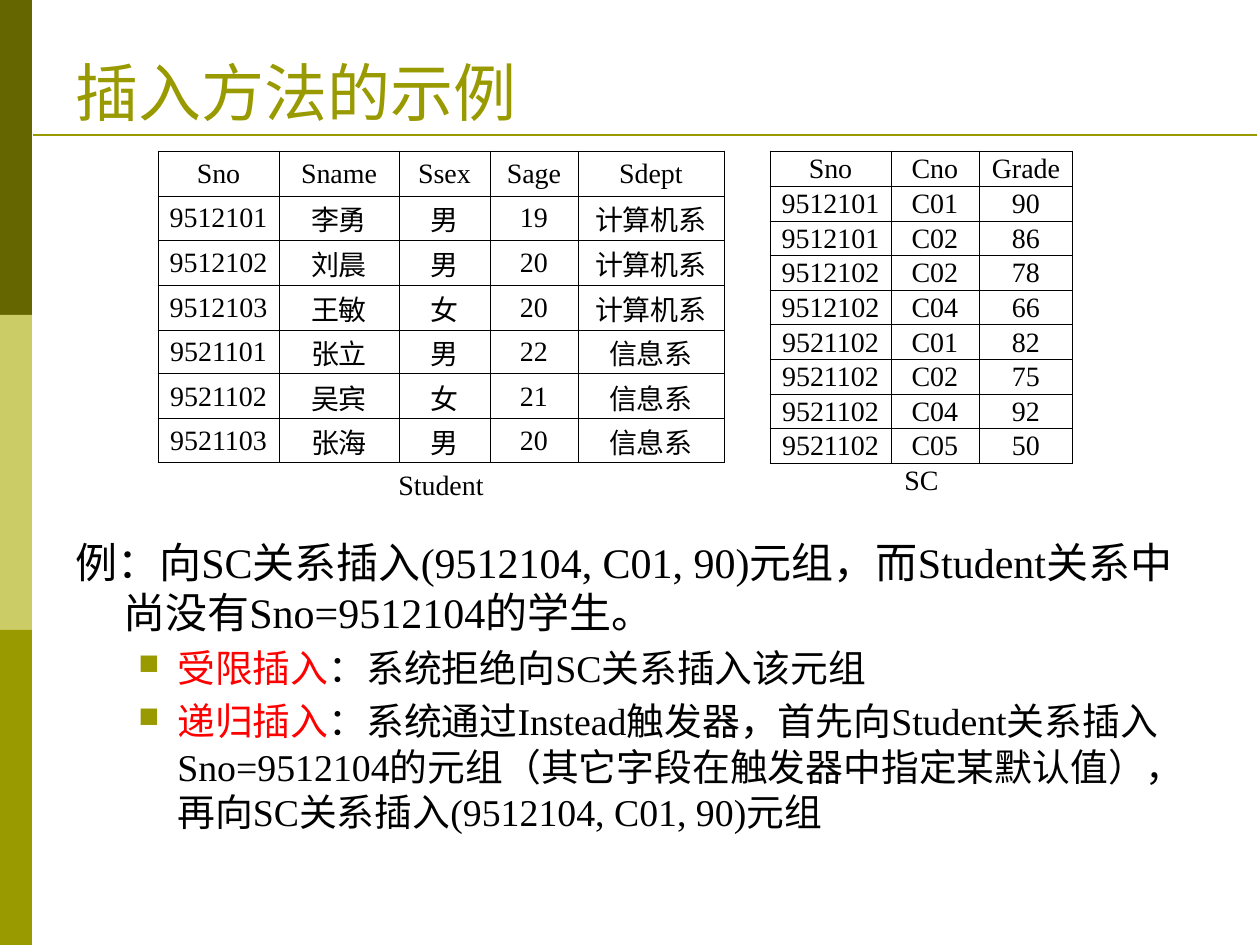
import pptx
import pptx.dml.color
import pptx.enum.shapes
import pptx.enum.text
import pptx.oxml
import pptx.oxml.ns
import pptx.util

ANCHOR = pptx.enum.text.MSO_ANCHOR
ALIGN = pptx.enum.text.PP_ALIGN
OLIVE, BLACK, RED = "999900", "000000", "FF0000"

STUDENTS = [
    ("Sno", "Sname", "Ssex", "Sage", "Sdept"),
    ("9512101", "李勇", "男", "19", "计算机系"),
    ("9512102", "刘晨", "男", "20", "计算机系"),
    ("9512103", "王敏", "女", "20", "计算机系"),
    ("9521101", "张立", "男", "22", "信息系"),
    ("9521102", "吴宾", "女", "21", "信息系"),
    ("9521103", "张海", "男", "20", "信息系"),
]
GRADES = [
    ("Sno", "Cno", "Grade"),
    ("9512101", "C01", "90"),
    ("9512101", "C02", "86"),
    ("9512102", "C02", "78"),
    ("9512102", "C04", "66"),
    ("9521102", "C01", "82"),
    ("9521102", "C02", "75"),
    ("9521102", "C04", "92"),
    ("9521102", "C05", "50"),
]
EXAMPLE = "例：向SC关系插入(9512104, C01, 90)元组，而Student关系中尚没有Sno=9512104的学生。"
METHODS = [
    ("受限插入", "：系统拒绝向SC关系插入该元组"),
    ("递归插入", "：系统通过Instead触发器，首先向Student关系插入Sno=9512104的元组"
             "（其它字段在触发器中指定某默认值），再向SC关系插入(9512104, C01, 90)元组"),
]


def px(count):
    return round(count * 914400 / 126)


def color(value):
    return pptx.dml.color.RGBColor.from_string(value)


def assign(target, values):
    for name, value in values.items():
        setattr(target, name, value)


def element(markup):
    """Parse one DrawingML element, given without its namespace declaration."""
    head, rest = markup.split(" ", 1)
    return pptx.oxml.parse_xml(f"{head} {pptx.oxml.ns.nsdecls('a')} {rest}")


class Painter:
    def __init__(self, page, font):
        self.page = page
        self.font = font

    def span(self, para, text, size, tint):
        span = para.add_run()
        span.text = text
        assign(span.font, {"name": self.font, "size": pptx.util.Pt(size), "bold": False})
        span.font.color.rgb = color(tint)

    def band(self, left, top, width, height, tint):
        box = self.page.shapes.add_shape(
            pptx.enum.shapes.MSO_SHAPE.RECTANGLE, px(left), px(top), px(width), px(height))
        box.shadow.inherit = False
        box.fill.solid()
        box.fill.fore_color.rgb = color(tint)
        box.line.fill.background()

    def rule(self, left, right, y, tint, weight):
        line = self.page.shapes.add_connector(
            pptx.enum.shapes.MSO_CONNECTOR.STRAIGHT, px(left), px(y), px(right), px(y))
        line.line.color.rgb = color(tint)
        line.line.width = pptx.util.Pt(weight)
        line._element.spPr.append(element("<a:effectLst />"))

    def text_frame(self, left, top, width, height, anchor=ANCHOR.TOP):
        box = self.page.shapes.add_textbox(px(left), px(top), px(width), px(height))
        assign(box.text_frame, {"word_wrap": True, "vertical_anchor": anchor})
        return box.text_frame

    def hang(self, para, left, hanging):
        props = para._p.get_or_add_pPr()
        props.set("marL", str(px(left)))
        props.set("indent", str(-px(hanging)))

    def bullet(self, para, tint):
        props = para._p.get_or_add_pPr()
        for markup in (f'<a:buClr ><a:srgbClr val="{tint}"/></a:buClr>',
                       '<a:buSzPct val="75000"/>',
                       '<a:buChar char="■"/>'):
            props.append(element(markup))

    def borders(self, cell, sides):
        """Draw the named sides (of L, R, T, B) and hide the others."""
        props = cell._tc.get_or_add_tcPr()
        for index, side in enumerate("LRTB"):
            fill = (f'<a:solidFill><a:srgbClr val="{BLACK}"/></a:solidFill>'
                    if side in sides else "<a:noFill/>")
            props.insert(index, element(f'<a:ln{side} w="6350">{fill}</a:ln{side}>'))

    def cell(self, cell, text, sides):
        cell.fill.background()
        assign(cell, {"vertical_anchor": ANCHOR.MIDDLE, "margin_left": px(1),
                      "margin_right": px(1), "margin_top": px(1), "margin_bottom": 0})
        self.borders(cell, sides)
        if text:
            para = cell.text_frame.paragraphs[0]
            para.alignment = ALIGN.CENTER
            self.span(para, text, 16, BLACK)

    def table(self, left, top, widths, heights, records, caption):
        """Place a gridded table whose merged last row is its caption."""
        frame = self.page.shapes.add_table(
            len(heights), len(widths), px(left), px(top), px(sum(widths)), px(sum(heights)))
        table = frame.table
        assign(table, {"first_row": False, "horz_banding": False})
        for column, width in zip(table.columns, widths):
            column.width = px(width)
        for row, height in zip(table.rows, heights):
            row.height = px(height)
        last = len(records)
        table.cell(last, 0).merge(table.cell(last, len(widths) - 1))
        for y, record in enumerate(records):
            for x, text in enumerate(record):
                self.cell(table.cell(y, x), text, "LRTB")
        for x in range(len(widths)):
            self.cell(table.cell(last, x), "" if x else caption, "T")


def main():
    deck = pptx.Presentation()
    assign(deck, {"slide_width": px(1260), "slide_height": px(945)})
    page = deck.slides.add_slide(deck.slide_layouts[6])
    painter = Painter(page, "Times New Roman")

    for index, tint in enumerate(("666600", "CCCC66", OLIVE)):
        painter.band(0, 315 * index, 32, 315, tint)
    painter.rule(33, 1257, 135, OLIVE, 1.5)

    title = painter.text_frame(63, 38, 1134, 97, ANCHOR.BOTTOM)
    painter.span(title.paragraphs[0], "插入方法的示例", 36, OLIVE)

    body = painter.text_frame(63, 530, 1134, 328)
    example = body.paragraphs[0]
    painter.hang(example, 48, 48)
    painter.span(example, EXAMPLE, 24, BLACK)
    for name, description in METHODS:
        para = body.add_paragraph()
        assign(para, {"level": 1, "space_before": pptx.util.Pt(4.5)})
        painter.hang(para, 102, 39)
        painter.bullet(para, OLIVE)
        painter.span(para, name, 21.6, RED)
        painter.span(para, description, 21.6, BLACK)

    painter.table(158, 151, (121, 120, 91, 88, 146),
                  (45, 44, 45, 45, 44, 45, 44, 45), STUDENTS, "Student")
    painter.table(770, 151, (121, 88, 94), [35] * 2 + [32] * 8, GRADES, "SC")
    deck.save("out.pptx")


if __name__ == "__main__":
    main()
